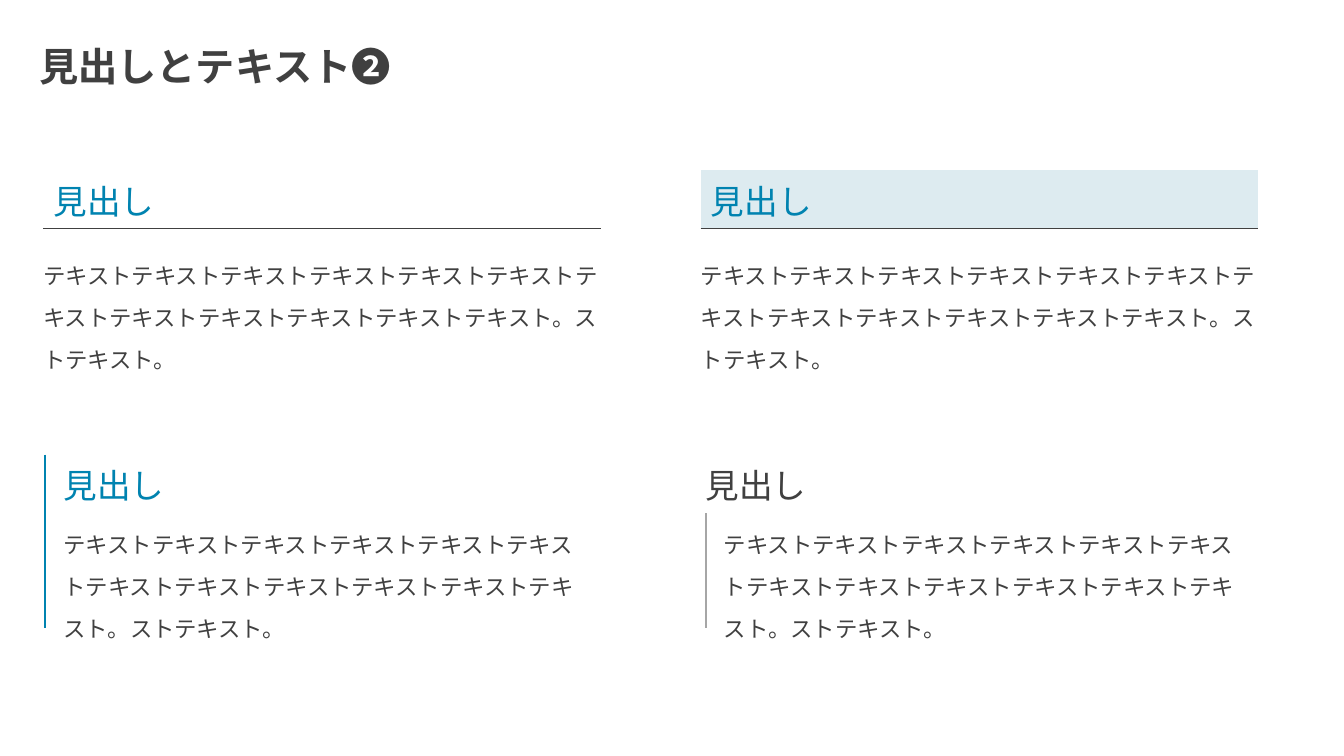
from lxml.etree import SubElement
from pptx import Presentation
from pptx.dml.color import RGBColor
from pptx.enum.text import MSO_ANCHOR, MSO_AUTO_SIZE, PP_ALIGN
from pptx.oxml import parse_xml
from pptx.oxml.ns import nsdecls, qn
from pptx.util import Inches, Pt

FONT = "Noto Sans CJK JP"
COLORS = {"text": "404040", "accent": "0083B0", "tint": "DDEBF0", "gray": "A6A6A6"}
TITLE = "見出しとテキスト❷"
HEADING = "見出し"
BODY = "テキスト" * 12 + "。ストテキスト。"

NO_GRID_STYLE = "{2D5ABB26-0587-4C30-8999-92F81FD0307C}"
TABLE_WIDTH = 5.53
ROW_HEIGHTS = (0.58, 1.05)
PLAIN = (0.1, 0.05, 0.1, 0.05)
FLUSH = (0, 0, 0, 0)
BELOW_RULE = (0, 0.2, 0, 0)
INDENTED = (0.18, 0.05, 0.1, 0.05)
RULE_BELOW = ("lnB", "text", 0.75)
RULE_ABOVE = ("lnT", "text", 0.75)
ACCENT_BAR = ("lnL", "accent", 1.5)
GRAY_BAR = ("lnL", "gray", 1.5)

BLOCKS = [
    {"at": (0.43, 1.69), "height": 1.8, "color": "accent", "fill": None,
     "insets": (PLAIN, BELOW_RULE), "borders": (RULE_BELOW, RULE_ABOVE)},
    {"at": (6.95, 1.69), "height": 1.8, "color": "accent", "fill": "tint",
     "insets": (PLAIN, BELOW_RULE), "borders": (RULE_BELOW, RULE_ABOVE)},
    {"at": (0.45, 4.51), "height": 1.7, "color": "accent", "fill": None,
     "insets": (INDENTED, INDENTED), "borders": (ACCENT_BAR, ACCENT_BAR)},
    {"at": (7, 4.51), "height": 1.7, "color": "text", "fill": None,
     "insets": (FLUSH, INDENTED), "borders": (None, GRAY_BAR)},
]


def write(frame, text, size, color, bold=False, spacing=None):
    paragraph = frame.paragraphs[0]
    paragraph.text = text
    paragraph.alignment = PP_ALIGN.LEFT
    paragraph.line_spacing = spacing
    font = paragraph.font
    font.name = FONT
    font.size = Pt(size)
    font.bold = bold
    font.color.rgb = RGBColor.from_string(COLORS[color])
    properties = paragraph._p.pPr.find(qn("a:defRPr"))
    SubElement(properties, qn("a:ea")).set("typeface", FONT)


def add_border(cell, side, color, width):
    line = parse_xml(
        f'<a:{side} {nsdecls("a")} w="{Pt(width)}"><a:solidFill>'
        f'<a:srgbClr val="{COLORS[color]}"/></a:solidFill></a:{side}>')
    cell._tc.get_or_add_tcPr().insert(0, line)


def format_cell(cell, insets, border, fill):
    cell.vertical_anchor = MSO_ANCHOR.MIDDLE
    (cell.margin_left, cell.margin_top,
     cell.margin_right, cell.margin_bottom) = map(Inches, insets)
    if fill:
        cell.fill.solid()
        cell.fill.fore_color.rgb = RGBColor.from_string(COLORS[fill])
    else:
        cell.fill.background()
    if border:
        add_border(cell, *border)


def add_block(slide, block):
    left, top = block["at"]
    shape = slide.shapes.add_table(
        2, 1, Inches(left), Inches(top), Inches(TABLE_WIDTH), Inches(block["height"]))
    table = shape.table
    table.first_row = False
    table.horz_banding = False
    table._tbl.tblPr.find(qn("a:tableStyleId")).text = NO_GRID_STYLE
    for row, height in zip(table.rows, ROW_HEIGHTS):
        row.height = Inches(height)
    shape.height = Inches(block["height"])
    heading, body = table.cell(0, 0), table.cell(1, 0)
    fills = (block["fill"], None)
    for cell, insets, border, fill in zip(
            (heading, body), block["insets"], block["borders"], fills):
        format_cell(cell, insets, border, fill)
    write(heading.text_frame, HEADING, 24, block["color"])
    write(body.text_frame, BODY, 16, "text", spacing=1.3)


def main():
    presentation = Presentation()
    presentation.slide_width = Inches(13.33)
    presentation.slide_height = Inches(7.5)
    slide = presentation.slides.add_slide(presentation.slide_layouts[5])
    title = slide.shapes.title
    title.left, title.top, title.width, title.height = map(Inches, (0.29, 0.37, 3.74, 0.57))
    title.text_frame.word_wrap = False
    title.text_frame.auto_size = MSO_AUTO_SIZE.SHAPE_TO_FIT_TEXT
    write(title.text_frame, TITLE, 28, "text", bold=True)
    for block in BLOCKS:
        add_block(slide, block)
    presentation.save("out.pptx")


if __name__ == "__main__":
    main()
